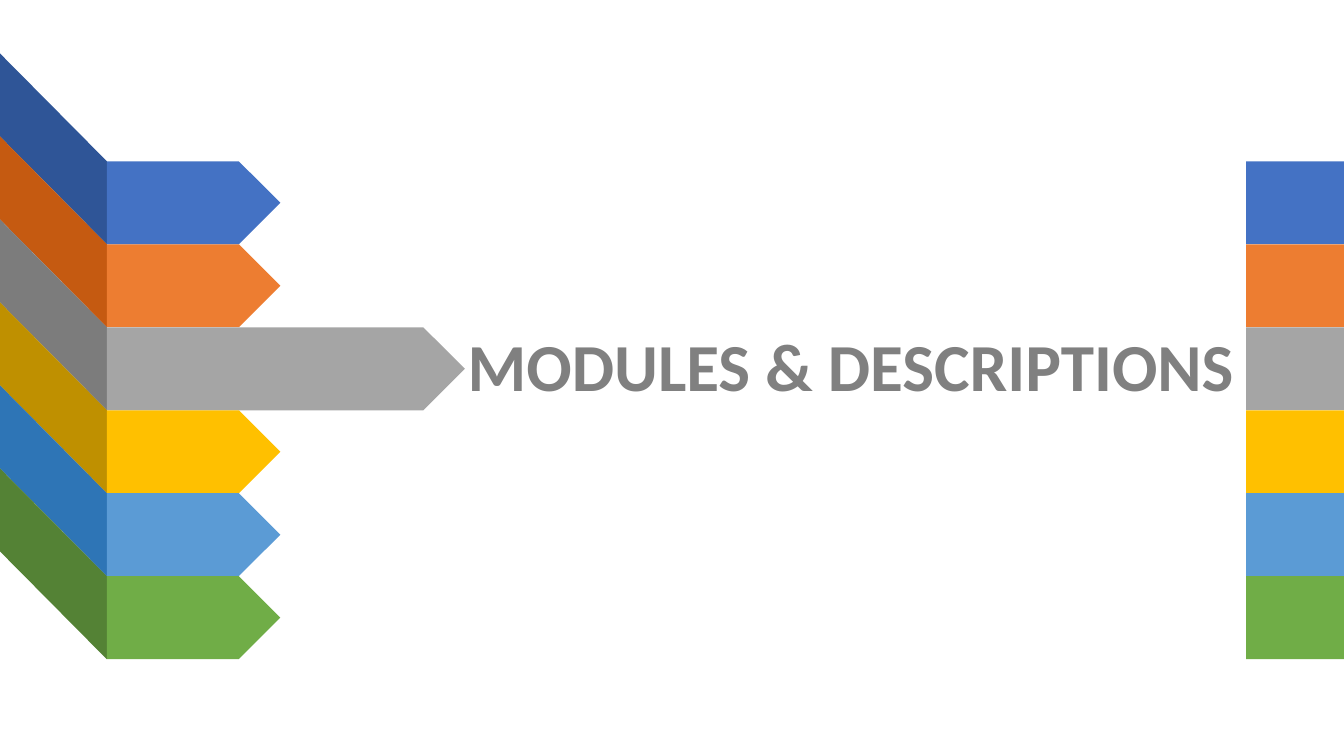
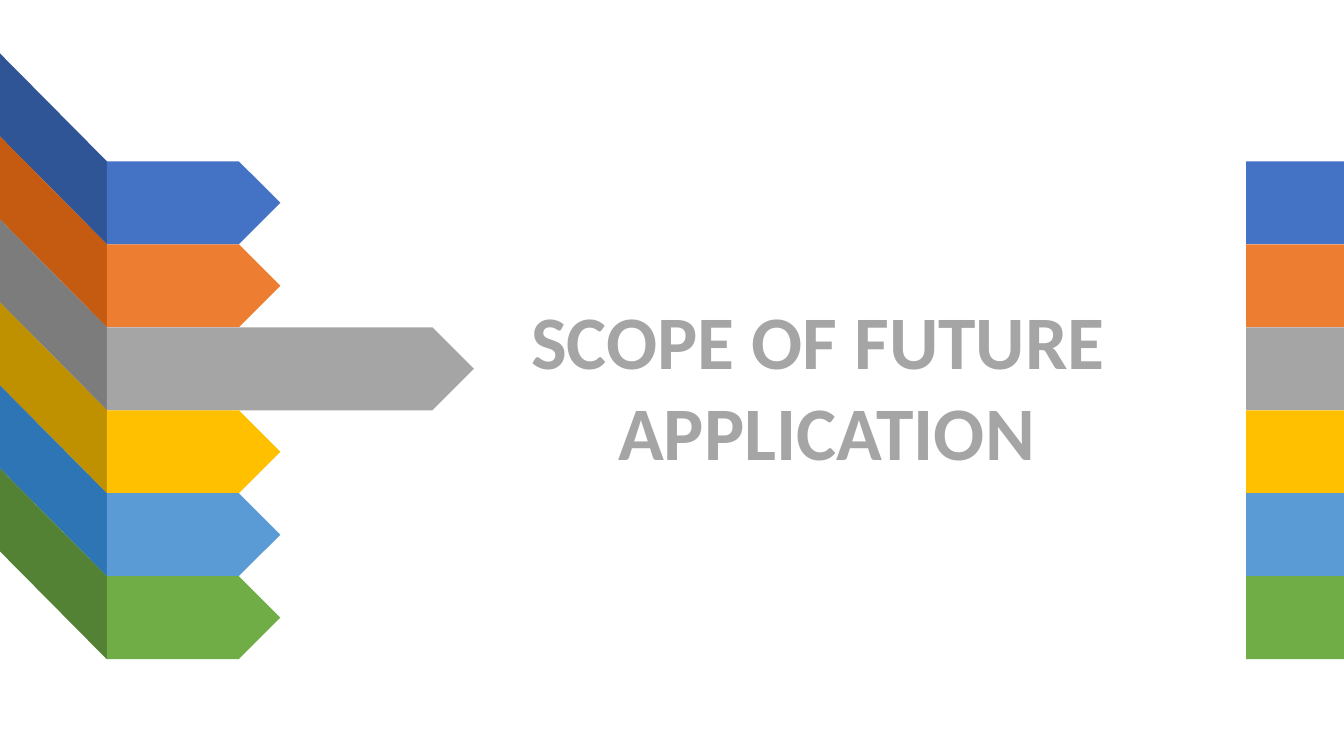
from pptx import Presentation
from pptx.dml.color import RGBColor
from pptx.enum.shapes import MSO_SHAPE
from pptx.enum.text import MSO_AUTO_SIZE, PP_ALIGN
from pptx.util import Inches, Pt

ARROW, RECT = MSO_SHAPE.PENTAGON, MSO_SHAPE.RECTANGLE
LEFT, CENTER = PP_ALIGN.LEFT, PP_ALIGN.CENTER
GROW = MSO_AUTO_SIZE.SHAPE_TO_FIT_TEXT

COLORS = {
    "blue": "4472C4", "blue dark": "2F5597",
    "orange": "ED7D31", "orange dark": "C55A11",
    "gray": "A5A5A5", "gray dark": "7C7C7C",
    "gold": "FFC000", "gold dark": "BF9000",
    "sky": "5B9BD5", "sky dark": "2E75B6",
    "green": "70AD47", "green dark": "548235",
    "title": "808080",
}
BANDS = ["blue", "orange", "gray", "gold", "sky", "green"]
ACTIVE = "gray"
SLIDES = [
    {"lines": ["MODULES & DESCRIPTIONS"], "box": (4.54, 3.17, 7.88, 0.91),
     "arrow": 3.55,
     "style": {"size": 48, "color": "title", "align": LEFT, "wrap": False}},
    {"lines": ["SCOPE OF FUTURE", " APPLICATION"], "box": (4.7, 2.87, 6.83, 1.92),
     "arrow": 3.64,
     "style": {"size": 54, "color": "gray", "align": CENTER, "wrap": True}},
]

WIDTH, HEIGHT = 13.33, 7.5
TOP, BOTTOM = 1.6, 6.54
STEP = (BOTTOM - TOP) / len(BANDS)
FOLD, RISE = 1.06, 1.07
SHORT = 1.72
EDGE = 12.36


def paint(shape, color):
    shape.shadow.inherit = False
    shape.fill.solid()
    shape.fill.fore_color.rgb = RGBColor.from_string(COLORS[color])
    shape.line.fill.background()


def add_block(slide, kind, box, color):
    paint(slide.shapes.add_shape(kind, *map(Inches, box)), color)


def add_fold(slide, top, color):
    points = [(0, top - RISE), (FOLD, top),
              (FOLD, top + STEP), (0, top + STEP - RISE)]
    points = [(Inches(x), Inches(y)) for x, y in points]
    path = slide.shapes.build_freeform(*points[0])
    path.add_line_segments(points[1:], close=True)
    paint(path.convert_to_shape(), color)


def add_text(slide, lines, box, size, color, align, wrap):
    frame = slide.shapes.add_textbox(*map(Inches, box)).text_frame
    frame.word_wrap = wrap
    frame.auto_size = GROW
    for i, line in enumerate(lines):
        para = frame.add_paragraph() if i else frame.paragraphs[0]
        para.alignment = align
        run = para.add_run()
        run.text = line
        run.font.name = "Calibri"
        run.font.size = Pt(size)
        run.font.bold = True
        run.font.color.rgb = RGBColor.from_string(COLORS[color])


def add_bands(slide, reach):
    for i, name in enumerate(BANDS):
        top = TOP + i * STEP
        width = reach if name == ACTIVE else SHORT
        add_fold(slide, top, name + " dark")
        add_block(slide, ARROW, (FOLD, top, width, STEP), name)
        add_block(slide, RECT, (EDGE, top, WIDTH - EDGE, STEP), name)


def main():
    deck = Presentation()
    deck.slide_width, deck.slide_height = Inches(WIDTH), Inches(HEIGHT)
    for page in SLIDES:
        slide = deck.slides.add_slide(deck.slide_layouts[6])
        add_bands(slide, page["arrow"])
        add_text(slide, page["lines"], page["box"], **page["style"])
    deck.save("out.pptx")


if __name__ == "__main__":
    main()
